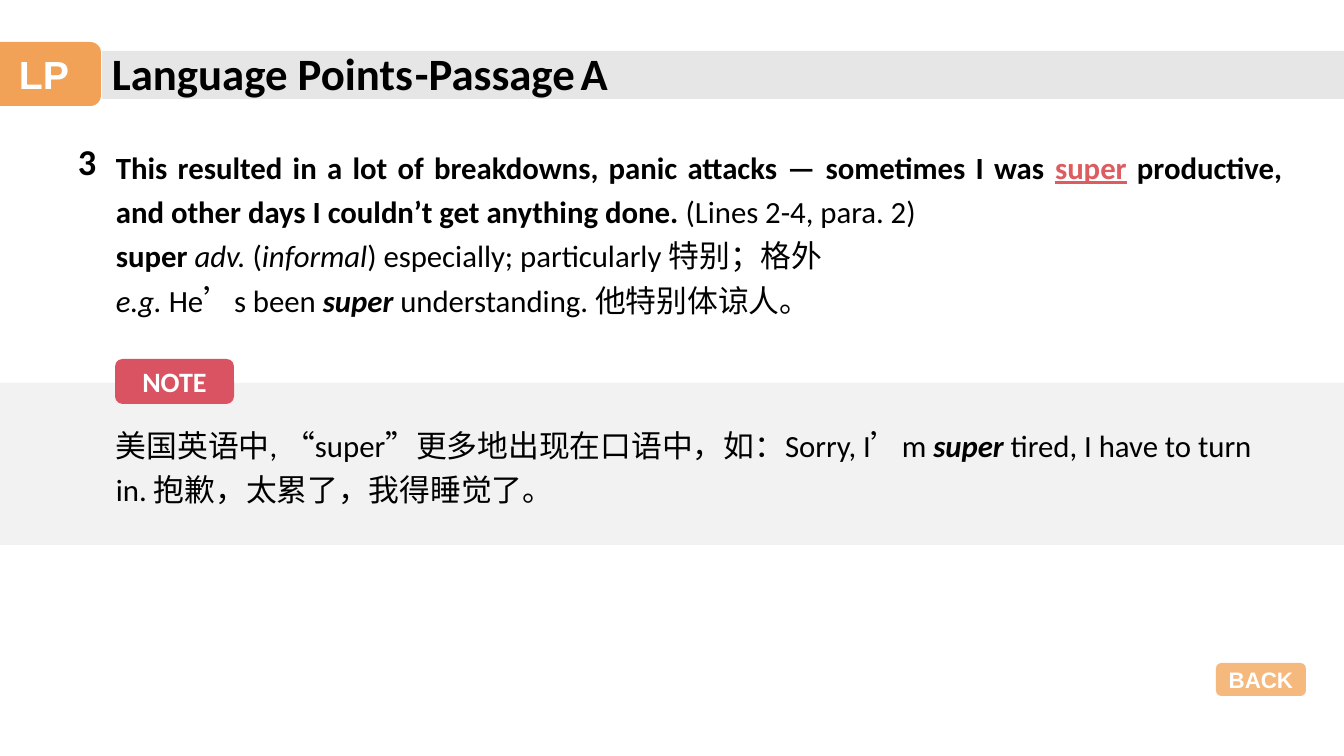
"""Build the Language Points slide on the word super."""
import pptx
import pptx.util
import pptx.dml.color
import pptx.enum.shapes
import pptx.enum.text
import pptx.oxml
import pptx.oxml.ns

SHAPE = pptx.enum.shapes.MSO_SHAPE
ALIGN = pptx.enum.text.PP_ALIGN
COLOURS = {
    "orange": "F19B48",
    "red": "DA5362",
    "keyword": "DD5C60",
    "band": "E7E6E6",
    "panel": "F2F2F2",
    "text": "000000",
    "white": "FFFFFF",
}
BOLD = {"bold": True}
ITALIC = {"italic": True}
BOLD_ITALIC = {"bold": True, "italic": True}


class LessonSlide:
    """Hold the style and the current slide, and draw its elements."""

    def __init__(self, presentation):
        self.scale = 914400 / 100.8
        presentation.slide_width = self.emu(1344)
        presentation.slide_height = self.emu(756)
        self.slide = presentation.slides.add_slide(presentation.slide_layouts[6])

    def emu(self, px):
        return pptx.util.Emu(round(px * self.scale))

    def colour(self, name):
        return pptx.dml.color.RGBColor.from_string(COLOURS[name])

    def add_runs(self, paragraph, runs, size, face="Calibri", colour="text"):
        for words, style in runs:
            run = paragraph.add_run()
            run.text = words
            values = {"name": face, "size": pptx.util.Pt(size), "bold": False, **style}
            run_colour = values.pop("colour", colour)
            for attribute, value in values.items():
                setattr(run.font, attribute, value)
            run.font.color.rgb = self.colour(run_colour)

    def panel(self, place, fill, kind=SHAPE.RECTANGLE, opacity=100):
        shape = self.slide.shapes.add_shape(kind, *map(self.emu, place))
        shape.shadow.inherit = False
        shape.line.fill.background()
        shape.fill.solid()
        shape.fill.fore_color.rgb = self.colour(fill)
        if opacity < 100:
            rgb = shape.element.spPr.find(".//" + pptx.oxml.ns.qn("a:srgbClr"))
            alpha = pptx.oxml.parse_xml(
                f'<a:alpha {pptx.oxml.ns.nsdecls("a")} val="{opacity * 1000}"/>')
            rgb.append(alpha)
        return shape

    def badge(self, place, fill, label, size, face="Arial", opacity=100):
        shape = self.panel(place, fill, SHAPE.ROUNDED_RECTANGLE, opacity)
        shape.text_frame.vertical_anchor = pptx.enum.text.MSO_ANCHOR.MIDDLE
        paragraph = shape.text_frame.paragraphs[0]
        paragraph.alignment = ALIGN.CENTER
        self.add_runs(paragraph, [(label, BOLD)], size, face, "white")

    def text(self, place, paragraphs, size, align=ALIGN.LEFT, spacing=1.0):
        frame = self.slide.shapes.add_textbox(*map(self.emu, place)).text_frame
        frame.word_wrap = True
        for index, runs in enumerate(paragraphs):
            paragraph = frame.add_paragraph() if index else frame.paragraphs[0]
            paragraph.alignment = align
            paragraph.line_spacing = spacing
            self.add_runs(paragraph, runs, size)


def main():
    presentation = pptx.Presentation()
    lesson = LessonSlide(presentation)

    lesson.panel((0, 383, 1344, 162), "panel")
    lesson.panel((102, 51, 1242, 48), "band")
    lesson.text((102, 41, 489, 65), [[("Language Points", BOLD)]], 32)
    lesson.text((68, 134, 47, 54), [[("3", BOLD)]], 26)
    lesson.badge((-13, 42, 114, 64), "orange", "LP", 28, opacity=92)

    passage = [
        [("This resulted in a lot of breakdowns, panic attacks — sometimes I was ", BOLD),
         ("super", {"bold": True, "underline": True, "colour": "keyword"}),
         (" productive, and other days I couldn’t get anything done. ", BOLD),
         ("(Lines 2-4, para. 2)", {})],
        [("super ", BOLD), ("adv.", ITALIC), (" (", {}), ("informal", ITALIC),
         (") especially; particularly 特别；格外", {})],
        [("e.g.", ITALIC), (" He’s been ", {}), ("super", BOLD_ITALIC),
         (" understanding. 他特别体谅人。", {})],
    ]
    lesson.text((106, 136, 1186, 185), passage, 22, ALIGN.JUSTIFY, 1.2)

    usage_note = [
        ("美国英语中, “super”更多地出现在口语中，如：Sorry, I’m ", {}),
        ("super", BOLD_ITALIC),
        (" tired, I have to turn in. 抱歉，太累了，我得睡觉了。", {}),
    ]
    lesson.text((106, 414, 1193, 96), [usage_note], 22, spacing=1.2)
    lesson.badge((115, 359, 119, 45), "red", "NOTE", 20, "Calibri")
    lesson.badge((1216, 663, 90, 33), "orange", "BACK", 16, opacity=71)
    lesson.text((405, 41, 249, 65),
                [[("-Passage", BOLD), (" ", {"size": pptx.util.Pt(18)}), ("A", BOLD)]], 32)

    presentation.save("out.pptx")


if __name__ == "__main__":
    main()
